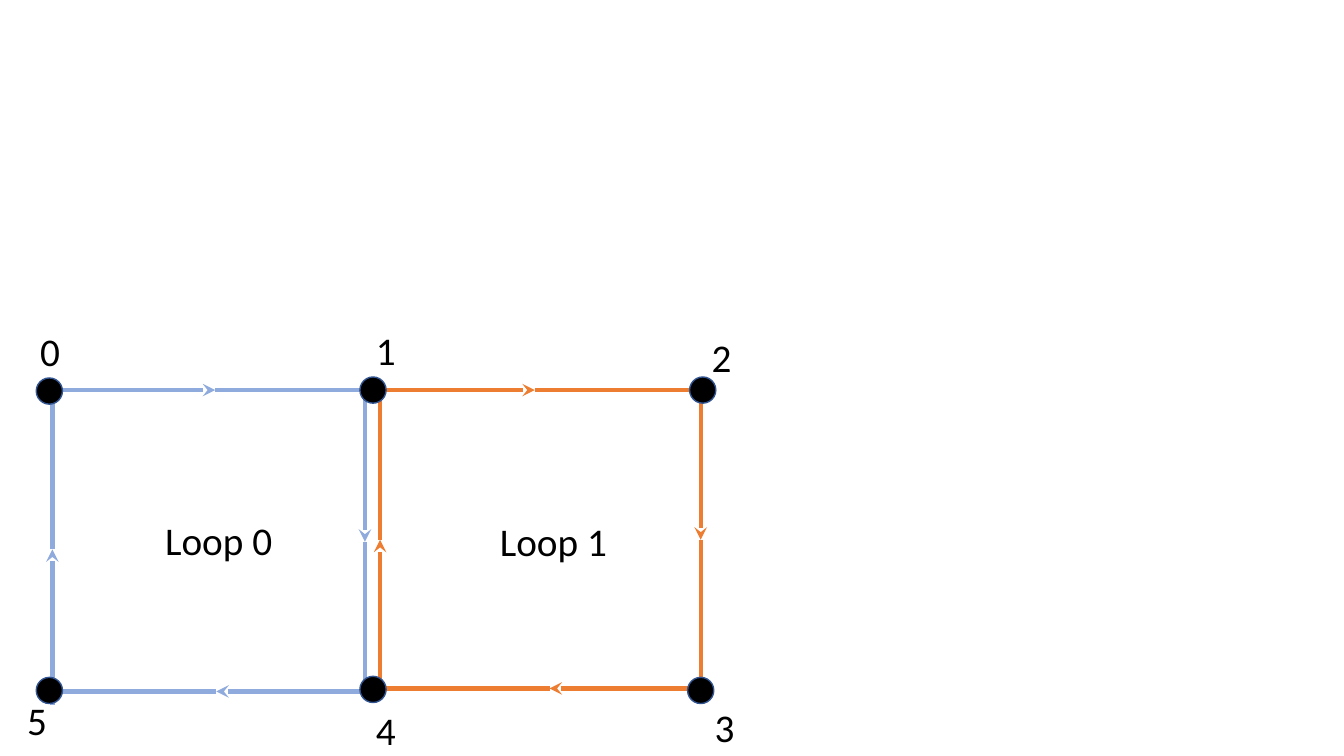
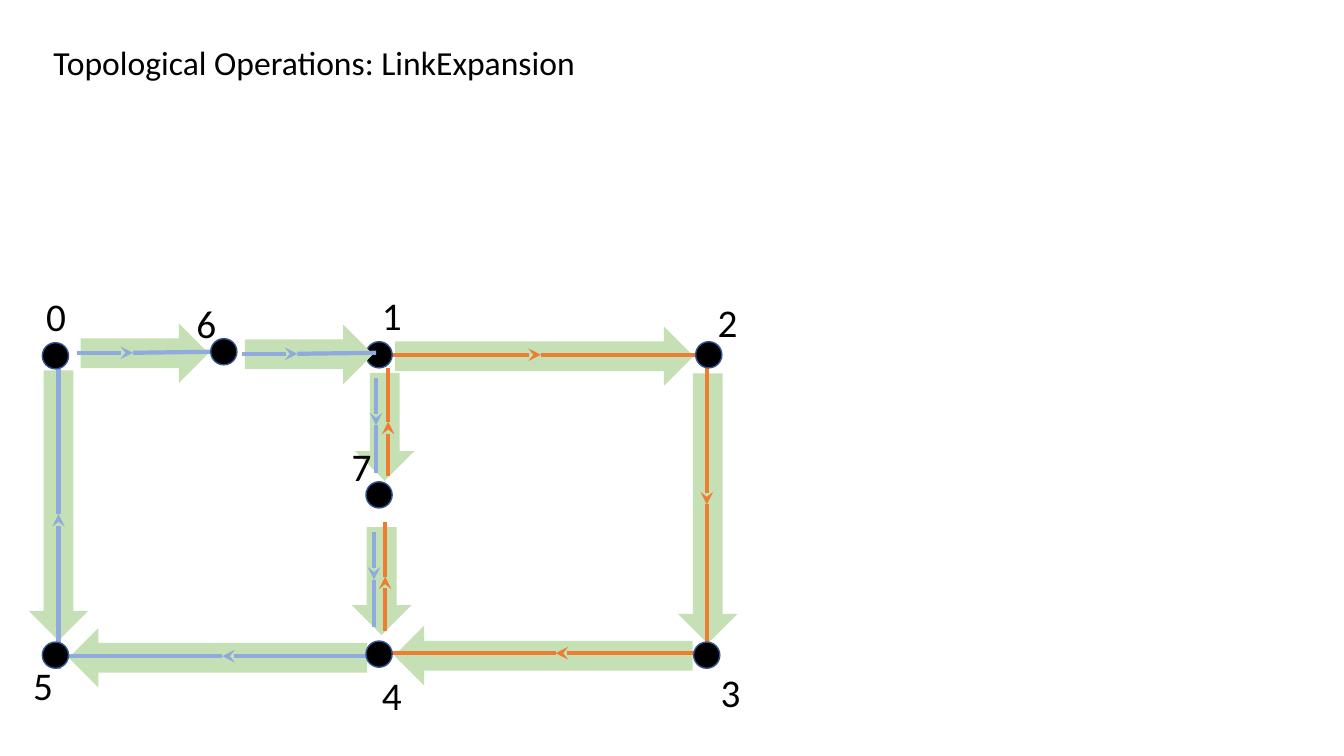
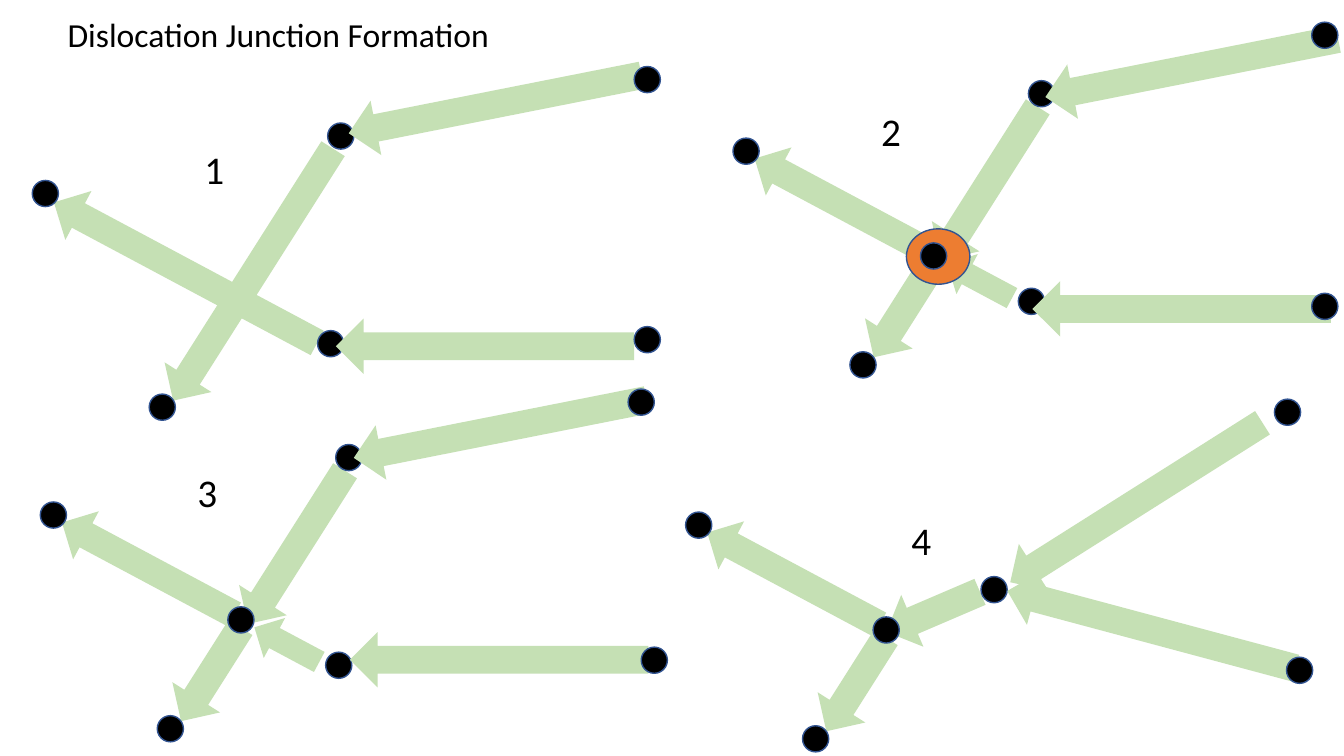
from lxml import etree
from pptx import Presentation
from pptx.dml.color import RGBColor
from pptx.enum.shapes import MSO_CONNECTOR, MSO_SHAPE
from pptx.enum.text import MSO_ANCHOR, MSO_AUTO_SIZE, PP_ALIGN
from pptx.oxml.ns import qn
from pptx.util import Inches, Pt

STRAIGHT = MSO_CONNECTOR.STRAIGHT
OVAL = MSO_SHAPE.OVAL
RIGHT_ARROW = MSO_SHAPE.RIGHT_ARROW
TOP = MSO_ANCHOR.TOP
NO_AUTOFIT = MSO_AUTO_SIZE.NONE
LEFT = PP_ALIGN.LEFT

FONT = "Calibri"
BLACK = "000000"
BLUE = "8FAADC"
ORANGE = "ED7D31"
GREEN = "C5E0B4"
NODE_OUTLINE = "325491"
NODE_SIZE = 0.26
LINK_WIDTH = 0.59
TITLE_ONLY, BLANK = 5, 6

MESH_FLOWS = [
    ((3.68, 3.87), (6.93, 3.87), ORANGE),
    ((3.77, 6.86), (0.52, 6.86), BLUE),
    ((7.08, 6.83), (3.82, 6.83), ORANGE),
    ((6.95, 3.87), (6.95, 6.84), ORANGE),
    ((0.52, 6.99), (0.52, 3.91), BLUE),
]
MESH_NODES = [(0.36, 3.75), (0.36, 6.72), (3.57, 6.71),
              (6.82, 6.72), (3.57, 3.74), (6.84, 3.74)]
MESH_LABELS = [(0.3, 3.2), (3.63, 3.19), (6.96, 3.26),
               (6.99, 6.93), (3.63, 6.96), (0.17, 6.86)]

ARM_ENDS = [(0, 0), (1.16, 2.12)]
LINK_STARTS = [(2.83, 1.49), (2.93, -0.57)]
JUNCTION = (1.86, 1.04)
CUT_ARMS = [(0.1, 0.39, 1.94, 0.54, 208.1), (1.14, 1.43, 1.1, 0.56, 122.4)]
CUT_LINKS = [(1.64, 0.17, 1.8, 0.56, 122.4), (2.08, 1.19, 0.73, 0.45, 208.1)]


def rgb(hex_colour):
    """Return the colour for a hex string."""
    return RGBColor.from_string(hex_colour)


def shifted(point, offset):
    """Return a point moved by an offset."""
    return point[0] + offset[0], point[1] + offset[1]


def write(frame, text, size=28, colour=BLACK, wrap=True):
    """Write one left-aligned paragraph into a text frame."""
    frame.text = text
    frame.word_wrap = wrap
    frame.auto_size = NO_AUTOFIT
    frame.vertical_anchor = TOP
    paragraph = frame.paragraphs[0]
    paragraph.alignment = LEFT
    paragraph.font.size = Pt(size)
    paragraph.font.name = FONT
    paragraph.font.color.rgb = rgb(colour)


def label(slide, text, position, width=0.5, wrap=True):
    """Add a free label."""
    left, top = position
    box = slide.shapes.add_textbox(Inches(left), Inches(top), Inches(width), Inches(0.57))
    write(box.text_frame, text, wrap=wrap)


def titled_slide(deck, text, left, top):
    """Add a slide with its title."""
    slide = deck.slides.add_slide(deck.slide_layouts[TITLE_ONLY])
    title = slide.shapes.title
    title.left, title.top = Inches(left), Inches(top)
    title.width, title.height = Inches(6.79), Inches(0.5)
    write(title.text_frame, text, size=24)
    return slide


def solid(slide, preset, left, top, width, height, fill, outline=None):
    """Add a filled preset shape."""
    shape = slide.shapes.add_shape(preset, Inches(left), Inches(top), Inches(width), Inches(height))
    shape.shadow.inherit = False
    shape.fill.solid()
    shape.fill.fore_color.rgb = rgb(fill)
    if outline:
        shape.line.color.rgb = rgb(outline)
        shape.line.width = Pt(1)
    else:
        shape.line.fill.background()
    return shape


def nodes(slide, positions, offset=(0, 0)):
    """Add black nodes at the given corners."""
    for position in positions:
        left, top = shifted(position, offset)
        solid(slide, OVAL, left, top, NODE_SIZE, NODE_SIZE, BLACK, NODE_OUTLINE)


def links(slide, arrows, offset=(0, 0)):
    """Add green block arrows, each turned by its angle."""
    for left, top, length, width, angle in arrows:
        left, top = shifted((left, top), offset)
        solid(slide, RIGHT_ARROW, left, top, length, width, GREEN).rotation = angle


def line(slide, start, end, colour, arrow=False):
    """Add a straight line, with a stealth head if asked."""
    connector = slide.shapes.add_connector(STRAIGHT, *map(Inches, (*start, *end)))
    connector.line.color.rgb = rgb(colour)
    connector.line.width = Pt(3)
    properties = connector._element.spPr
    if arrow:
        etree.SubElement(properties.find(qn("a:ln")), qn("a:tailEnd"), type="stealth")
    etree.SubElement(properties, qn("a:effectLst"))


def flow(slide, start, end, colour, middle=None):
    """Add a line with an arrowhead part of the way along."""
    middle = middle or ((start[0] + end[0]) / 2, (start[1] + end[1]) / 2)
    line(slide, start, middle, colour, arrow=True)
    line(slide, middle, end, colour)


def mesh(slide, inner_flows, offset=(0, 0)):
    """Draw the two-loop mesh with its inner flows, nodes and numbers."""
    for start, end, colour in MESH_FLOWS:
        flow(slide, shifted(start, offset), shifted(end, offset), colour)
    for inner_flow in inner_flows:
        flow(slide, *inner_flow)
    nodes(slide, MESH_NODES, offset)
    for number, position in enumerate(MESH_LABELS):
        label(slide, str(number), shifted(position, offset))


def loops_slide(deck):
    """Build the slide with two adjoining loops."""
    slide = deck.slides.add_slide(deck.slide_layouts[BLANK])
    label(slide, "Loop 0", (1.54, 5.07), width=1.66)
    label(slide, "Loop 1", (4.86, 5.08), width=1.66)
    mesh(slide, [
        ((0.51, 3.87), (3.76, 3.87), BLUE),
        ((3.62, 3.89), (3.62, 6.86), BLUE),
        ((3.77, 6.9), (3.77, 3.81), ORANGE),
    ])


def expansion_slide(deck):
    """Build the slide where nodes 6 and 7 split two links."""
    slide = titled_slide(deck, "Topological Operations: LinkExpansion", 0.43, 0.37)
    links(slide, [
        (3.28, 3.94, 1.07, LINK_WIDTH, 90),
        (5.68, 4.75, 2.68, LINK_WIDTH, 90),
        (-0.76, 4.72, 2.68, LINK_WIDTH, 90),
        (0.68, 6.23, 2.96, LINK_WIDTH, 180),
        (3.91, 6.21, 2.96, LINK_WIDTH, 180),
        (3.92, 3.24, 2.96, LINK_WIDTH, 0),
        (0.8, 3.21, 1.27, LINK_WIDTH, 0),
    ])
    mesh(slide, [
        ((0.76, 3.5), (2.09, 3.49), BLUE, (1.32, 3.5)),
        ((3.73, 3.75), (3.73, 4.69), BLUE),
        ((3.85, 4.72), (3.85, 3.65), ORANGE),
    ], offset=(0.06, -0.35))
    nodes(slide, [(2.09, 3.36), (3.63, 4.78)])
    label(slide, "6", (1.85, 2.92))
    label(slide, "7", (3.39, 4.34))
    links(slide, [(2.43, 3.22, 1.27, LINK_WIDTH, 0), (3.25, 5.47, 1.07, LINK_WIDTH, 90)])
    flow(slide, (2.4, 3.51), (3.73, 3.5), BLUE, (2.95, 3.51))
    flow(slide, (3.71, 5.28), (3.71, 6.22), BLUE)
    flow(slide, (3.82, 6.26), (3.82, 5.18), ORANGE)


def stage(slide, number, number_at, origin, inner, starts, incoming, far_nodes, halo=False):
    """Draw one stage of the junction, from inner links to far nodes."""
    links(slide, inner, origin)
    nodes(slide, ARM_ENDS + starts, origin)
    if halo:
        left, top = shifted((1.72, 0.9), origin)
        solid(slide, OVAL, left, top, 0.63, 0.55, ORANGE, NODE_OUTLINE)
    if number > 1:
        nodes(slide, [JUNCTION], origin)
    links(slide, incoming)
    nodes(slide, far_nodes)
    label(slide, str(number), number_at, width=0.4, wrap=False)


def incoming_pair(upper, lower):
    """Return the slanted and the level link at the given corners."""
    return [(*upper, 2.96, 0.55, 168.8), (*lower, 2.96, 0.55, 180)]


def junction_slide(deck):
    """Build the slide with four stages of junction formation."""
    slide = titled_slide(deck, "Dislocation Junction Formation", 0.57, 0.09)
    whole_arms = [(0.04, 0.64, 2.96, 0.55, 208.1), (0.71, 0.66, 2.96, 0.55, 122.4)]
    stage(slide, 1, (1.93, 1.39), (0.32, 1.79), whole_arms, LINK_STARTS,
          incoming_pair((3.43, 0.76), (3.33, 3.16)), [(6.29, 0.66), (6.29, 3.24)])
    stage(slide, 2, (8.64, 1.02), (7.27, 1.37), CUT_ARMS + CUT_LINKS, LINK_STARTS,
          incoming_pair((10.34, 0.4), (10.24, 2.79)), [(13.01, 0.22), (13.01, 2.91)], halo=True)
    stage(slide, 3, (1.86, 4.6), (0.4, 4.98), CUT_ARMS + CUT_LINKS, LINK_STARTS,
          incoming_pair((3.48, 3.98), (3.47, 6.27)), [(6.23, 3.86), (6.36, 6.42)])
    merged_link = (1.95, 0.71, 1.01, 0.56, 156.8)
    stage(slide, 4, (8.94, 5.07), (6.8, 5.08), CUT_ARMS + [merged_link], [(2.93, 0.64)],
          [(9.79, 4.71, 2.96, 0.55, 147.7), (9.94, 5.97, 2.96, 0.55, 195)],
          [(12.64, 3.96), (12.76, 6.52)])


def main():
    """Build and save the deck."""
    deck = Presentation()
    deck.slide_width, deck.slide_height = Inches(13.33), Inches(7.5)
    loops_slide(deck)
    expansion_slide(deck)
    junction_slide(deck)
    deck.save("out.pptx")


if __name__ == "__main__":
    main()
